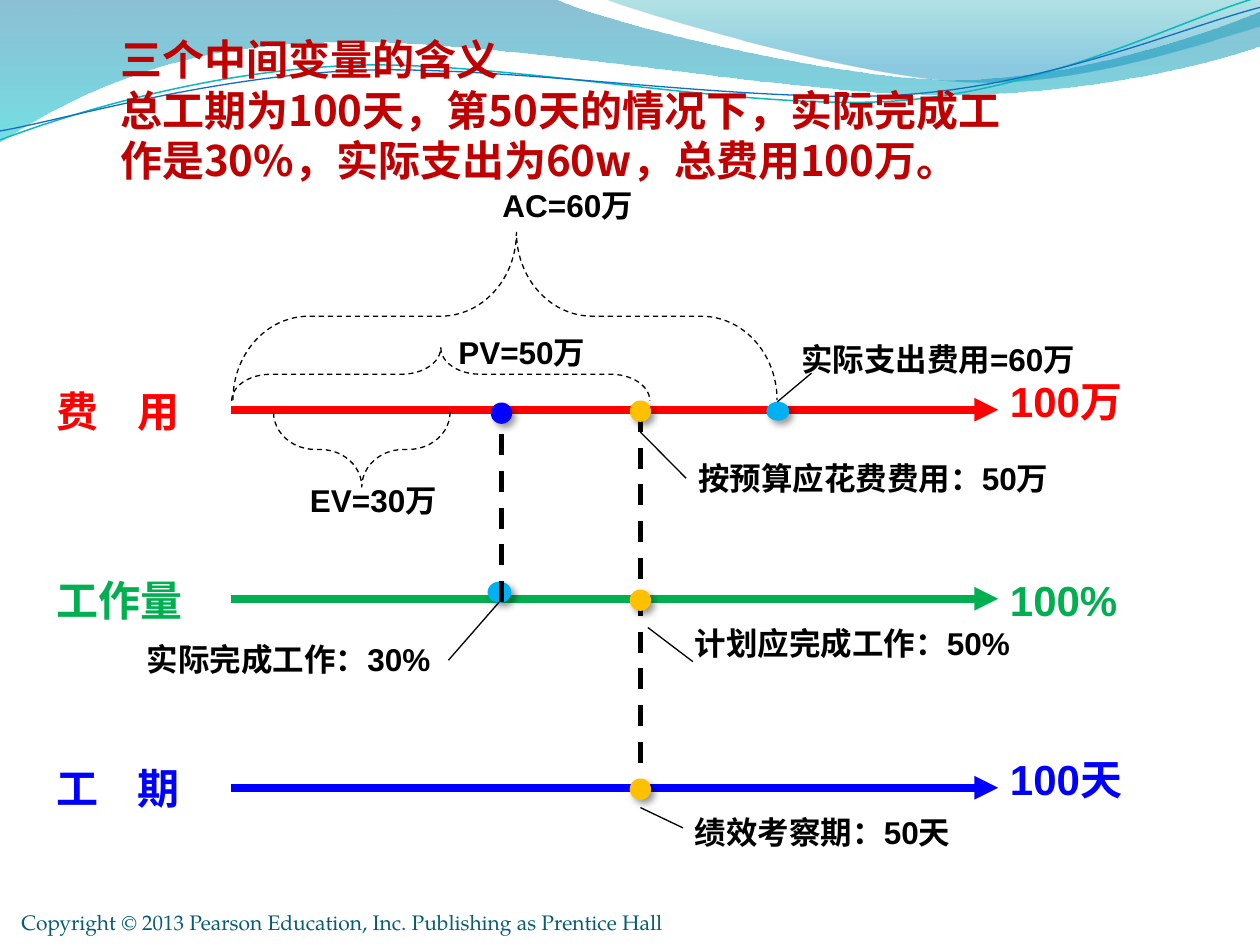
from math import cos, radians, sin
from pptx import Presentation
from pptx.dml.color import RGBColor
from pptx.enum.dml import MSO_LINE as Dash
from pptx.enum.shapes import MSO_CONNECTOR as Link, MSO_SHAPE as Kind
from pptx.enum.text import MSO_ANCHOR as Anchor, MSO_AUTO_SIZE as Fit, PP_ALIGN as Align
from pptx.oxml.ns import qn
from pptx.util import Cm, Pt
from lxml.etree import SubElement as Sub

RED = RGBColor(0xFF, 0x00, 0x00)
GREEN = RGBColor(0x00, 0xB0, 0x50)
BLUE = RGBColor(0x00, 0x00, 0xFF)
GOLD = RGBColor(0xFF, 0xC0, 0x00)
SKY = RGBColor(0x00, 0xB0, 0xF0)
BLACK = RGBColor(0x00, 0x00, 0x00)
WINE = RGBColor(0xC0, 0x00, 0x00)
TEAL = RGBColor(0x04, 0x5C, 0x75)
DEEP = RGBColor(0x00, 0x74, 0xA1)
AQUA = RGBColor(0x00, 0xC6, 0xCF)
SEA = RGBColor(0x00, 0xA1, 0xA9)
LAKE = RGBColor(0x00, 0x8B, 0xBF)
CYAN = RGBColor(0x0A, 0xB8, 0xBF)
ROYAL = RGBColor(0x0F, 0x6F, 0xC6)

AXIS_X, AXIS_END = 4.65, 20.12
COST_Y, STEP = 8.26, 3.81
NOW_X, DONE_X = 12.91, 10.11
TILT = 2.7

BAND = [(0, -0.03), (11.18, -0.03), (12.09, 0.43, 16.87, 1.6, 19.25, 1.6),
        (21.67, 1.6, 24.33, 0.66, 25.4, 0.23), (25.43, 0.91),
        (24.97, 1.12, 22.1, 1.93, 18.95, 1.91), (15.8, 1.91, 9.7, 0.71, 6.53, 0.86),
        (3.28, 0.89, 1.17, 2.11, -0.03, 2.87), (0, -0.03)]
CREST = [(12.17, -0.03), (12.93, 0.28, 17.32, 1.57, 19.53, 1.65),
         (21.74, 1.75, 24.41, 0.81, 25.4, 0.53), (25.4, 0), (12.17, -0.03)]
UPPER = [(0, 2.82), (1.22, 2.36, 4.01, 1.45, 7.04, 1.32),
         (10.03, 1.19, 15.06, 2.26, 18.11, 2.03), (21.16, 1.8, 23.83, 0.38, 25.35, -0.05)]
LOWER = [(0, 2.64), (1.19, 2.44, 4.17, 1.55, 7.19, 1.42),
         (10.24, 1.3, 15.16, 2.11, 18.21, 1.91), (21.23, 1.7, 23.9, 0.53, 25.4, 0.15)]


def pairs(step):
    return list(zip(step[::2], step[1::2]))


def add_curve(slide, steps, close):
    ends = [(Cm(x), Cm(y)) for x, y in (step[-2:] for step in steps)]
    pen = slide.shapes.build_freeform(*ends[0])
    pen.add_line_segments(ends[1:], close=close)
    shape = pen.convert_to_shape()
    shape.shadow.inherit = False
    legs = list(shape._element.spPr.iter(qn("a:lnTo")))
    for leg, step in zip(legs, steps[1:]):
        if len(step) == 6:
            leg.tag = qn("a:cubicBezTo")
            leg.clear()
            for x, y in pairs(step):
                Sub(leg, qn("a:pt"), x=str(Cm(x) - shape.left), y=str(Cm(y) - shape.top))
    return shape


def add_wave(slide, steps, stops):
    shape = add_curve(slide, steps, True)
    shape.line.fill.background()
    shape.fill.gradient()
    shape.fill.gradient_angle = 270
    for stop, (place, tint, _) in zip(shape.fill.gradient_stops, stops):
        stop.position, stop.color.rgb = place, tint
    tints = shape._element.spPr.iter(qn("a:srgbClr"))
    for node, (_, _, alpha) in zip(tints, stops):
        Sub(node, qn("a:alpha"), val=str(alpha * 1000))


def level(step, mid_x=12.67, mid_y=1.46):
    c, s = cos(radians(TILT)), sin(radians(TILT))
    flat = []
    for x, y in pairs(step):
        x, y = x - mid_x, y - mid_y
        flat += [mid_x + x * c - y * s, mid_y + x * s + y * c]
    return tuple(flat)


def add_swirl(slide, steps, tint, width):
    shape = add_curve(slide, [level(step) for step in steps], False)
    shape.rotation = -TILT
    shape.fill.background()
    shape.line.color.rgb = tint
    shape.line.width = Pt(width)


def add_line(slide, start, end, tint=BLACK, width=0.75, dash=False, arrow=False):
    line = slide.shapes.add_connector(Link.STRAIGHT, *map(Cm, start + end))
    line.line.color.rgb = tint
    line.line.width = Pt(width)
    if dash:
        line.line.dash_style = Dash.DASH
    if arrow:
        Sub(line.line._get_or_add_ln(), qn("a:tailEnd"), type="triangle")
    Sub(line._element.spPr, qn("a:effectLst"))
    return line


def add_dot(slide, x, y, tint, w=0.43, h=0.43):
    dot = slide.shapes.add_shape(Kind.OVAL, Cm(x - w / 2), Cm(y - h / 2), Cm(w), Cm(h))
    dot.fill.solid()
    dot.fill.fore_color.rgb = tint
    dot.line.fill.background()
    dot.shadow.inherit = False
    glow = dot._element.spPr.find(qn("a:effectLst"))
    cast = Sub(glow, qn("a:outerShdw"), blurRad=str(Pt(4)), dist=str(Pt(3)), dir="2700000")
    Sub(Sub(cast, qn("a:srgbClr"), val="000000"), qn("a:alpha"), val="40000")


def add_brace(slide, x, y, w, h, turn, bend, mid=0.5):
    brace = slide.shapes.add_shape(Kind.LEFT_BRACE, Cm(x), Cm(y), Cm(w), Cm(h))
    brace.rotation = turn
    brace.adjustments[0], brace.adjustments[1] = bend, mid
    brace.fill.background()
    brace.line.color.rgb = BLACK
    brace.line.width = Pt(0.75)
    brace.line.dash_style = Dash.DASH
    brace.shadow.inherit = False


def style(par, size, tint, face="Arial", bold=True):
    font = par.font
    font.name, font.size, font.bold = face, Pt(size), bold
    font.color.rgb = tint


def add_text(slide, text, x, y, w, h=1.02, size=18, tint=BLACK, inset=0.25, tab=None):
    box = slide.shapes.add_textbox(Cm(x), Cm(y), Cm(w), Cm(h))
    frame = box.text_frame
    frame.word_wrap = True
    frame.auto_size = Fit.SHAPE_TO_FIT_TEXT
    frame.margin_left = Cm(inset)
    par = frame.paragraphs[0]
    par.text = text
    if tab:
        tabs = Sub(par._p.get_or_add_pPr(), qn("a:tabLst"))
        Sub(tabs, qn("a:tab"), pos=str(Cm(tab)), algn="l")
    style(par, size, tint)
    return box


def add_credit(slide):
    box = slide.shapes.add_textbox(Cm(0.43), Cm(18.21), Cm(16.31), Cm(0.64))
    frame = box.text_frame
    frame.word_wrap = True
    frame.vertical_anchor = Anchor.BOTTOM
    frame.margin_left = frame.margin_right = frame.margin_top = frame.margin_bottom = 0
    par = frame.paragraphs[0]
    par.text = "Copyright © 2013 Pearson Education, Inc. Publishing as Prentice Hall"
    style(par, 12, TEAL, "TeX Gyre Pagella", False)


def set_title(slide):
    title = slide.shapes.title
    title.left, title.top, title.width, title.height = map(Cm, (2.17, 0.55, 18.54, 3.33))
    frame = title.text_frame
    frame.text = ("三个中间变量的含义\n"
                  "总工期为100天，第50天的情况下，实际完成工作是30%，实际支出为60w，总费用100万。")
    frame.word_wrap = True
    frame.auto_size = Fit.SHAPE_TO_FIT_TEXT
    frame.vertical_anchor = Anchor.TOP
    for par in frame.paragraphs:
        par.alignment = Align.LEFT
        style(par, 24, WINE, "Noto Sans CJK SC")
    slide.shapes._spTree.append(title._element)


def add_axes(slide):
    rows = [("费\t用", "100万", RED, 7.65, 7.44), ("工作量", "100%", GREEN, 11.46, 11.46),
            ("工\t期", "100天", BLUE, 15.24, 15.06)]
    for i, (name, total, tint, top, end) in enumerate(rows):
        y = COST_Y + i * STEP
        add_line(slide, (AXIS_X, y), (AXIS_END, y), tint, 4.5, arrow=True)
        add_text(slide, name, 0.9, top, 3.76, 1.27, 24, tint, tab=1.63)
        add_text(slide, total, 20.11, end, 3.58, 1.27, 24, tint)
    add_line(slide, (NOW_X, 8.28), (NOW_X, 15.9), width=3, dash=True)
    for i in range(3):
        add_dot(slide, NOW_X, 8.29 + i * STEP, GOLD)


def add_notes(slide):
    add_text(slide, "绩效考察期：50天", 13.76, 16.27, 5.74)
    add_text(slide, "计划应完成工作：50%", 13.76, 12.46, 6.96)
    plan = add_text(slide, "按预算应花费费用：50万", 13.83, 9.13, 8.28)
    add_line(slide, (NOW_X, 8.71), (13.83, 9.64)).end_connect(plan, 1)
    add_dot(slide, 10.07, 11.94, SKY, 0.48)
    add_text(slide, "实际完成工作：30%", 1.7, 12.78, 7.49, inset=1.26)
    add_dot(slide, DONE_X, 8.33, BLUE)
    add_line(slide, (DONE_X, 12.14), (DONE_X, 8.56), width=3, dash=True)
    add_dot(slide, 15.68, 8.29, SKY, 0.46, 0.38)
    add_text(slide, "实际支出费用=60万", 15.9, 6.73, 6.6)
    for start, end in [((NOW_X, 16.28), (13.77, 16.69)), ((13.06, 12.65), (13.97, 13.34)),
                       ((9.04, 13.31), (10.06, 12.14)), ((15.67, 8.1), (16.36, 7.52))]:
        add_line(slide, start, end)


def add_spans(slide):
    add_brace(slide, 6.54, 7.28, 1.51, 3.56, 270, 0.556)
    add_text(slide, "EV=30万", 5.11, 9.58, 4.47, inset=1.14)
    add_brace(slide, 8.35, 3.33, 1.07, 8.43, 90, 0.738)
    add_text(slide, "PV=50万", 8.99, 6.59, 3.18)
    add_brace(slide, 8.49, 0.89, 3.38, 10.97, 90, 0.453, 0.479)
    add_text(slide, "AC=60万", 9.88, 3.63, 3.15)


def main():
    deck = Presentation()
    deck.slide_width, deck.slide_height = Cm(25.4), Cm(19.05)
    slide = deck.slides.add_slide(deck.slide_layouts[5])
    add_wave(slide, BAND, [(0, DEEP, 45), (1, AQUA, 55)])
    add_wave(slide, CREST, [(0, SEA, 30), (0.8, LAKE, 45)])
    add_swirl(slide, UPPER, CYAN, 0.85)
    add_swirl(slide, LOWER, ROYAL, 0.75)
    add_credit(slide)
    add_axes(slide)
    add_notes(slide)
    add_spans(slide)
    set_title(slide)
    deck.save("out.pptx")


if __name__ == "__main__":
    main()
